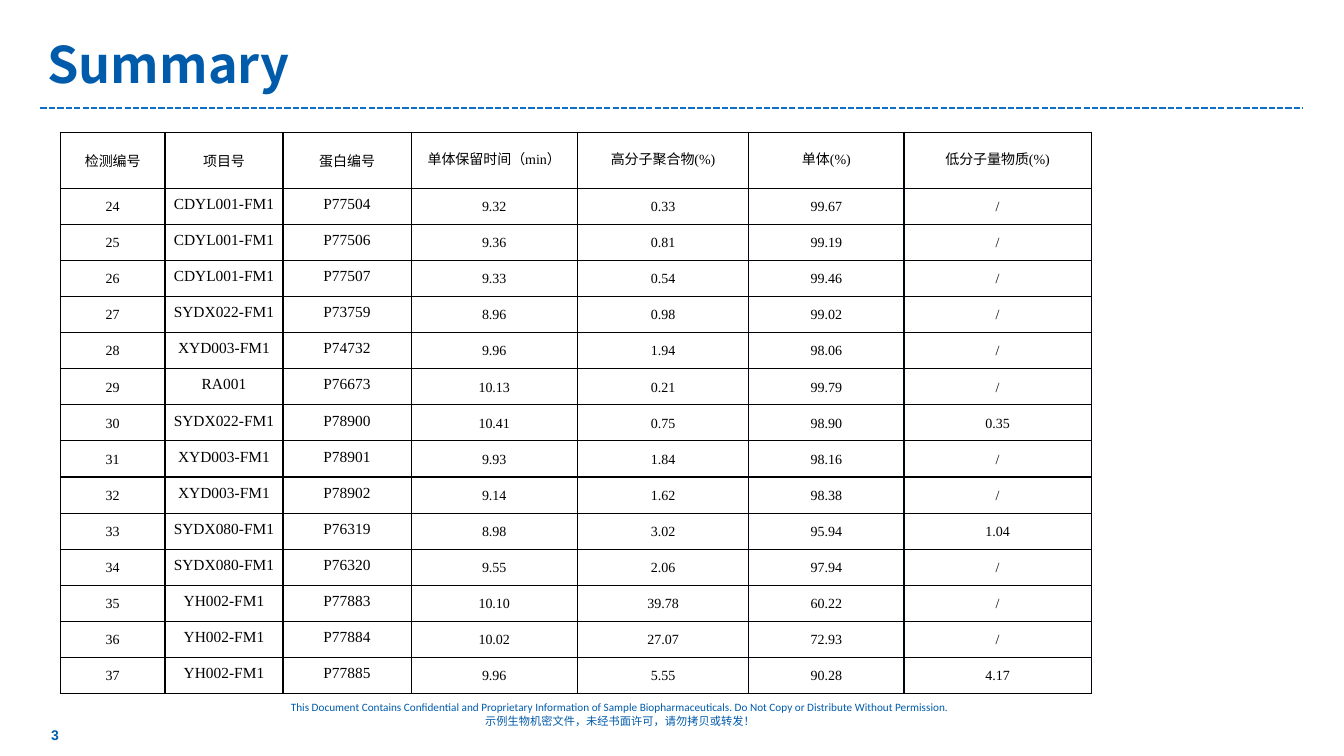
from dataclasses import dataclass
from typing import NamedTuple

from lxml import etree
from pptx import Presentation
from pptx.dml.color import RGBColor
from pptx.enum.dml import MSO_LINE
from pptx.enum.shapes import MSO_CONNECTOR
from pptx.enum.text import MSO_ANCHOR, MSO_AUTO_SIZE, PP_ALIGN
from pptx.oxml.ns import qn
from pptx.util import Cm, Pt

LEFT, CENTER = PP_ALIGN.LEFT, PP_ALIGN.CENTER
TOP, MIDDLE = MSO_ANCHOR.TOP, MSO_ANCHOR.MIDDLE
NO_AUTOFIT = MSO_AUTO_SIZE.NONE
STRAIGHT = MSO_CONNECTOR.STRAIGHT
DASHED = MSO_LINE.SQUARE_DOT

BRAND_BLUE = RGBColor(0x00, 0x5B, 0xAB)
RULE_BLUE = RGBColor(0x0F, 0x6F, 0xC6)
BLACK = RGBColor(0x00, 0x00, 0x00)
NEAR_BLACK = RGBColor(0x00, 0x05, 0x14)

CHINESE_FONT = "Noto Sans CJK SC"
TITLE_ONLY = 5
HEADER_HEIGHT = 1.41
ROW_HEIGHT = 0.91


@dataclass(frozen=True)
class TextStyle:
    font: str
    size: float
    color: RGBColor
    bold: bool = False


@dataclass(frozen=True)
class CellStyle:
    text: TextStyle
    side: float = 0.03
    top: float = 0.03
    bottom: float = 0
    line_spacing: float | None = None


@dataclass(frozen=True)
class Column:
    heading: str
    width: float
    heading_style: CellStyle
    body_style: CellStyle
    left_border: RGBColor = BLACK
    right_border: RGBColor = BLACK


class Sample(NamedTuple):
    project: str
    protein: str
    retention: str
    polymer: str
    monomer: str
    fragment: str = "/"


TITLE_TEXT = TextStyle(CHINESE_FONT, 36, BRAND_BLUE, True)
PAGE_TEXT = TextStyle("Arial", 10, BRAND_BLUE, True)
ENGLISH_NOTE = TextStyle("Calibri", 8, BRAND_BLUE)
CHINESE_NOTE = TextStyle(CHINESE_FONT, 8, BRAND_BLUE)
TABLE_TEXT = TextStyle("Times New Roman", 10, BLACK)
NAME_TEXT = TextStyle("Times New Roman", 11, BLACK)

PLAIN = CellStyle(TABLE_TEXT)
NAME = CellStyle(NAME_TEXT, bottom=0.13)
MEASURE = CellStyle(TABLE_TEXT, side=0.18, top=0, line_spacing=12)

COLUMNS = [
    Column("检测编号", 2.64, PLAIN, PLAIN),
    Column("项目号", 2.97, PLAIN, NAME),
    Column("蛋白编号", 3.23, PLAIN, NAME),
    Column("单体保留时间（min）", 4.19, MEASURE, PLAIN),
    Column("高分子聚合物(%)", 4.32, MEASURE, PLAIN, BLACK, NEAR_BLACK),
    Column("单体(%)", 3.91, MEASURE, PLAIN, NEAR_BLACK, NEAR_BLACK),
    Column("低分子量物质(%)", 4.72, MEASURE, PLAIN, NEAR_BLACK, NEAR_BLACK),
]

FIRST_TEST = 24
SAMPLES = [
    Sample("CDYL001-FM1", "P77504", "9.32", "0.33", "99.67"),
    Sample("CDYL001-FM1", "P77506", "9.36", "0.81", "99.19"),
    Sample("CDYL001-FM1", "P77507", "9.33", "0.54", "99.46"),
    Sample("SYDX022-FM1", "P73759", "8.96", "0.98", "99.02"),
    Sample("XYD003-FM1", "P74732", "9.96", "1.94", "98.06"),
    Sample("RA001", "P76673", "10.13", "0.21", "99.79"),
    Sample("SYDX022-FM1", "P78900", "10.41", "0.75", "98.90", "0.35"),
    Sample("XYD003-FM1", "P78901", "9.93", "1.84", "98.16"),
    Sample("XYD003-FM1", "P78902", "9.14", "1.62", "98.38"),
    Sample("SYDX080-FM1", "P76319", "8.98", "3.02", "95.94", "1.04"),
    Sample("SYDX080-FM1", "P76320", "9.55", "2.06", "97.94"),
    Sample("YH002-FM1", "P77883", "10.10", "39.78", "60.22"),
    Sample("YH002-FM1", "P77884", "10.02", "27.07", "72.93"),
    Sample("YH002-FM1", "P77885", "9.96", "5.55", "90.28", "4.17"),
]


def add_span(para, text: str, style: TextStyle) -> None:
    span = para.add_run()
    span.text = text
    span.font.name = style.font
    span.font.size = Pt(style.size)
    span.font.bold = style.bold
    span.font.color.rgb = style.color
    east_asian = etree.SubElement(span.font._element, qn("a:ea"))
    east_asian.set("typeface", CHINESE_FONT)


def fill_frame(frame, lines: list[tuple[str, TextStyle]], align, anchor) -> None:
    frame.word_wrap = True
    frame.auto_size = NO_AUTOFIT
    frame.vertical_anchor = anchor
    for index, (text, style) in enumerate(lines):
        para = frame.add_paragraph() if index else frame.paragraphs[0]
        para.alignment = align
        add_span(para, text, style)


def set_borders(cell, left: RGBColor, right: RGBColor) -> None:
    properties = cell._tc.get_or_add_tcPr()
    sides = [("L", left), ("R", right), ("T", BLACK), ("B", BLACK)]
    for index, (side, color) in enumerate(sides):
        border = etree.Element(qn(f"a:ln{side}"), w=str(Pt(1)))
        solid = etree.SubElement(border, qn("a:solidFill"))
        etree.SubElement(solid, qn("a:srgbClr"), val=str(color))
        properties.insert(index, border)


def fill_cell(cell, text: str, style: CellStyle) -> None:
    cell.margin_left = cell.margin_right = Cm(style.side)
    cell.margin_top = Cm(style.top)
    cell.margin_bottom = Cm(style.bottom)
    cell.vertical_anchor = MIDDLE
    cell.fill.background()
    para = cell.text_frame.paragraphs[0]
    para.alignment = CENTER
    if style.line_spacing:
        para.line_spacing = Pt(style.line_spacing)
    add_span(para, text, style.text)


def add_results(page) -> None:
    width = sum(column.width for column in COLUMNS)
    height = HEADER_HEIGHT + ROW_HEIGHT * len(SAMPLES)
    table = page.shapes.add_table(
        len(SAMPLES) + 1, len(COLUMNS), Cm(1.52), Cm(3.33), Cm(width), Cm(height)
    ).table
    table.first_row = table.horz_banding = False
    for index, row in enumerate(table.rows):
        row.height = Cm(ROW_HEIGHT if index else HEADER_HEIGHT)
    for place, column in enumerate(COLUMNS):
        table.columns[place].width = Cm(column.width)
        heading = table.cell(0, place)
        fill_cell(heading, column.heading, column.heading_style)
        set_borders(heading, BLACK, BLACK)
        for index, sample in enumerate(SAMPLES):
            values = (str(FIRST_TEST + index), *sample)
            cell = table.cell(index + 1, place)
            fill_cell(cell, values[place], column.body_style)
            set_borders(cell, column.left_border, column.right_border)


def add_rule(page) -> None:
    rule = page.shapes.add_connector(STRAIGHT, Cm(1.02), Cm(2.72), Cm(32.84), Cm(2.72))
    rule.line.color.rgb = RULE_BLUE
    rule.line.width = Pt(1.5)
    rule.line.dash_style = DASHED
    etree.SubElement(rule._element.spPr, qn("a:effectLst"))


def main() -> None:
    deck = Presentation()
    deck.slide_width, deck.slide_height = Cm(33.87), Cm(19.05)
    page = deck.slides.add_slide(deck.slide_layouts[TITLE_ONLY])
    add_rule(page)
    notice = page.shapes.add_textbox(Cm(4.34), Cm(17.53), Cm(22.58), Cm(1.14))
    fill_frame(notice.text_frame, [
        ("This Document Contains Confidential and Proprietary Information of "
         "Sample Biopharmaceuticals. Do Not Copy or Distribute Without Permission.", ENGLISH_NOTE),
        ("示例生物机密文件，未经书面许可，请勿拷贝或转发！", CHINESE_NOTE),
    ], CENTER, TOP)
    title = page.shapes.title
    title.left, title.top, title.width, title.height = Cm(0.94), Cm(0.33), Cm(25.17), Cm(2.51)
    fill_frame(title.text_frame, [("Summary", TITLE_TEXT)], LEFT, MIDDLE)
    number = page.shapes.add_textbox(Cm(1.04), Cm(18.01), Cm(3.2), Cm(1.02))
    fill_frame(number.text_frame, [("3", PAGE_TEXT)], LEFT, MIDDLE)
    add_results(page)
    deck.save("out.pptx")


if __name__ == "__main__":
    main()
